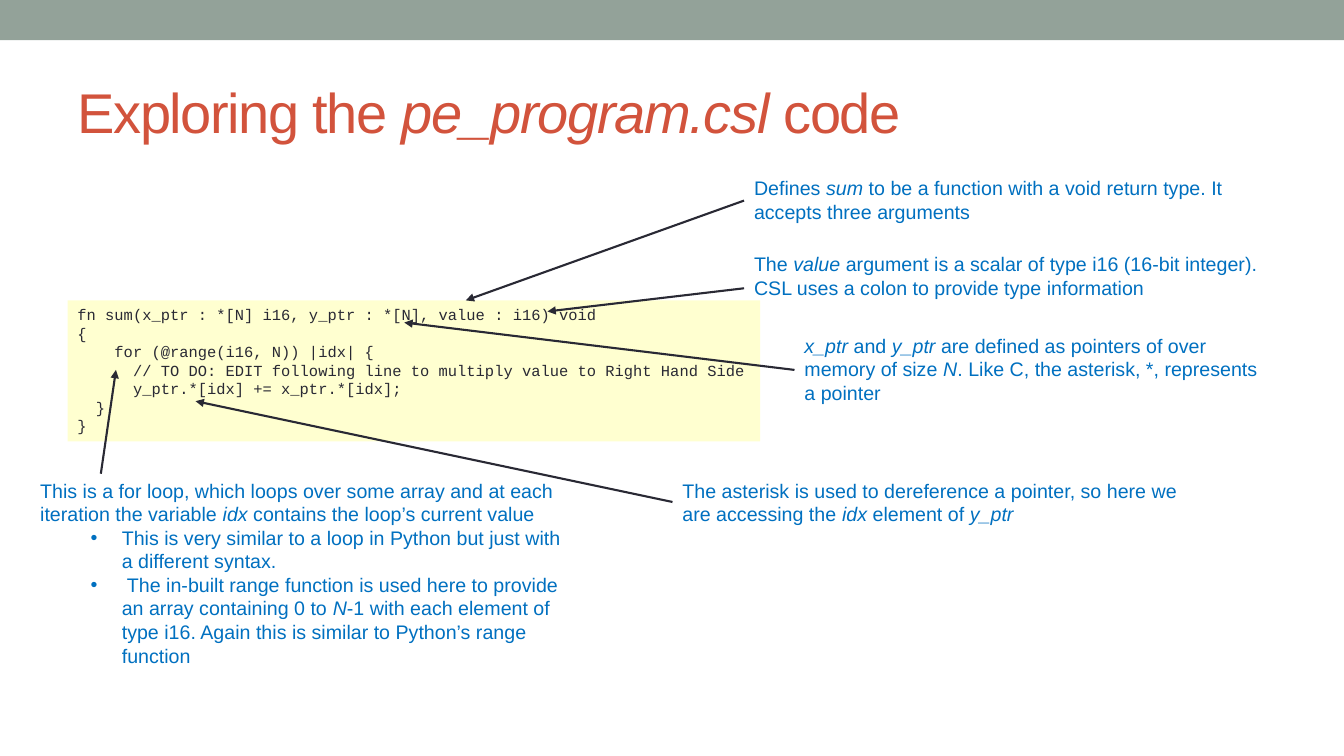
import lxml.etree
import pptx
import pptx.dml.color
import pptx.enum.shapes
import pptx.enum.text
import pptx.oxml.ns
import pptx.util

Inches = pptx.util.Inches
Pt = pptx.util.Pt
RGBColor = pptx.dml.color.RGBColor

SAGE = RGBColor(0x93, 0xA2, 0x99)
RUST = RGBColor(0xD2, 0x53, 0x3C)
YELLOW = RGBColor(0xFF, 0xFF, 0x66)
INK = RGBColor(0x29, 0x29, 0x34)
BLUE = RGBColor(0x00, 0x70, 0xC0)

CODE = """fn sum(x_ptr : *[N] i16, y_ptr : *[N], value : i16) void
{
    for (@range(i16, N)) |idx| {
      // TO DO: EDIT following line to multiply value to Right Hand Side
      y_ptr.*[idx] += x_ptr.*[idx];
  }
}"""

NOTES = [
    ((7.38, 1.7, 5.35, 0.57), (7.38, 1.99), (4.62, 2.98), [
        ("Defines ", "sum", " to be a function with a void return type. It accepts three arguments")]),
    ((7.88, 3.26, 4.82, 0.81), (7.88, 3.67), (4.01, 3.2), [
        ("", "x_ptr", " and ", "y_ptr", " are defined as pointers of over memory of size ", "N",
         ". Like C, the asterisk, *, represents a pointer")]),
    ((7.38, 2.45, 5.35, 0.81), (7.38, 2.86), (5.43, 3.09), [
        ("The ", "value", " argument is a scalar of type i16 (16-bit integer). "
         "CSL uses a colon to provide type information")]),
    ((0.3, 4.7, 5.38, 1.99), (1, 4.7), (1.15, 3.67), [
        ("This is a for loop, which loops over some array and at each iteration the variable ",
         "idx", " contains the loop’s current value"),
        ("This is very similar to a loop in Python but just with a different syntax.",),
        (" The in-built range function is used here to provide an array containing 0 to ", "N",
         "-1 with each element of type i16. Again this is similar to Python’s range function")]),
    ((6.67, 4.7, 5.38, 0.57), (6.67, 4.98), (1.94, 3.98), [
        ("The asterisk is used to dereference a pointer, so here we are accessing the ",
         "idx ", "element of ", "y_ptr")]),
]


def add_child(parent, tag, **attributes):
    """Append a DrawingML element to a parent."""
    return lxml.etree.SubElement(parent, pptx.oxml.ns.qn(tag), attributes)


def add_spans(para, texts, size, color, face="Arial"):
    """Add runs to a paragraph, every second one in italics."""
    for position, text in enumerate(texts):
        if text:
            span = para.add_run()
            span.text = text
            span.font.name = face
            span.font.size = Pt(size)
            span.font.color.rgb = color
            span.font.italic = position % 2 == 1


def add_panel(page, box, color):
    """Add a borderless filled rectangle."""
    panel = page.shapes.add_shape(
        pptx.enum.shapes.MSO_SHAPE.RECTANGLE, *map(Inches, box))
    panel.shadow.inherit = False
    panel.fill.solid()
    panel.fill.fore_color.rgb = color
    panel.line.fill.background()
    return panel


def add_title(page, box, texts):
    """Place and format the title placeholder."""
    title = page.shapes.title
    title.left, title.top, title.width, title.height = map(Inches, box)
    title.text_frame.vertical_anchor = pptx.enum.text.MSO_ANCHOR.MIDDLE
    para = title.text_frame.paragraphs[0]
    para.alignment = pptx.enum.text.PP_ALIGN.LEFT
    add_spans(para, texts, 40, RUST)
    for span in para.runs:
        span.font._element.set("spc", "-100")


def add_code(page, box, code):
    """Add the code listing on a translucent panel."""
    panel = add_panel(page, box, YELLOW)
    color = panel._element.spPr.find(".//" + pptx.oxml.ns.qn("a:srgbClr"))
    add_child(color, "a:alpha", val="30000")
    frame = panel.text_frame
    frame.word_wrap = True
    frame.vertical_anchor = pptx.enum.text.MSO_ANCHOR.TOP
    for number, line in enumerate(code.split("\n")):
        para = frame.add_paragraph() if number else frame.paragraphs[0]
        para.alignment = pptx.enum.text.PP_ALIGN.LEFT
        add_spans(para, [line], 11, INK, "Courier New")


def add_note(page, box, paragraphs):
    """Add an explanation whose later paragraphs are bullets."""
    frame = page.shapes.add_textbox(*map(Inches, box)).text_frame
    frame.word_wrap = True
    for number, texts in enumerate(paragraphs):
        para = frame.add_paragraph() if number else frame.paragraphs[0]
        if number:
            para.level = 1
            properties = para._p.get_or_add_pPr()
            properties.set("marL", str(Inches(0.81)))
            properties.set("indent", str(Inches(-0.31)))
            add_child(properties, "a:buFont", typeface="Arial")
            add_child(properties, "a:buChar", char="•")
        add_spans(para, texts, 14, BLUE)


def add_arrow(page, start, end):
    """Draw an arrow from a note to the code it explains."""
    arrow = page.shapes.add_connector(
        pptx.enum.shapes.MSO_CONNECTOR.STRAIGHT, *map(Inches, start + end))
    arrow.line.color.rgb = INK
    arrow.line.width = Pt(1.5)
    add_child(arrow.line._get_or_add_ln(), "a:tailEnd", type="triangle")
    add_child(arrow._element.spPr, "a:effectLst")


def main():
    """Build and save the deck."""
    deck = pptx.Presentation()
    deck.slide_width, deck.slide_height = Inches(13.33), Inches(7.5)
    page = deck.slides.add_slide(deck.slide_layouts[5])
    add_panel(page, (0, 0, 13.33, 0.4), SAGE)
    add_title(page, (0.67, 0.58, 12, 1.04), ("Exploring the ", "pe_program.csl", " code"))
    add_code(page, (0.67, 2.98, 6.87, 1.4), CODE)
    for box, start, end, paragraphs in NOTES:
        add_note(page, box, paragraphs)
        add_arrow(page, start, end)
    deck.save("out.pptx")


if __name__ == "__main__":
    main()
